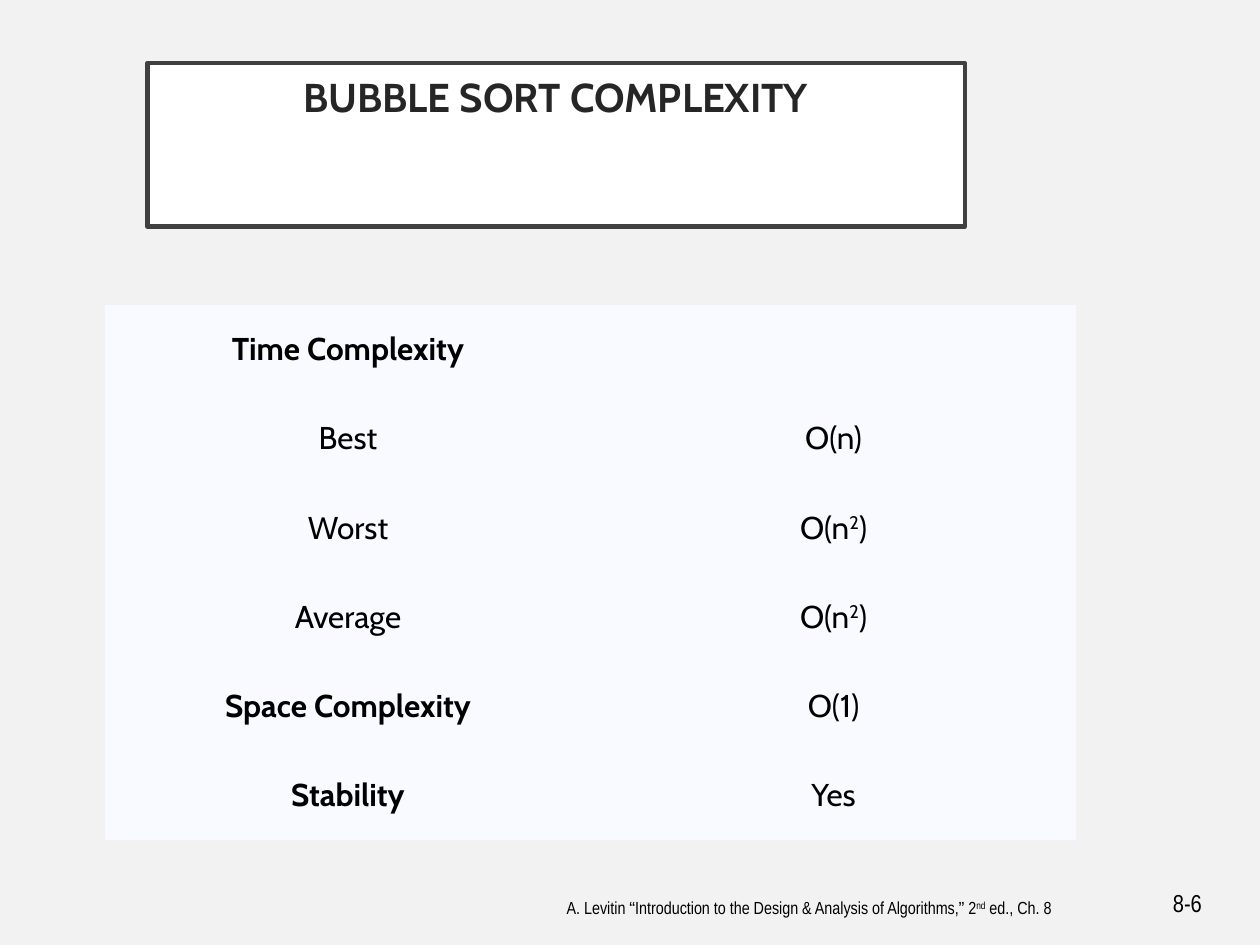
from dataclasses import dataclass

from pptx import Presentation
from pptx.dml.color import RGBColor
from pptx.enum.text import MSO_ANCHOR, MSO_AUTO_SIZE, PP_ALIGN
from pptx.util import Cm, Pt

CENTER, RIGHT = PP_ALIGN.CENTER, PP_ALIGN.RIGHT
TOP, MIDDLE = MSO_ANCHOR.TOP, MSO_ANCHOR.MIDDLE
NO_GRID_STYLE = "{2D5ABB26-0587-4C30-8999-92F81FD0307C}"


@dataclass(frozen=True)
class Theme:
    background: RGBColor = RGBColor(0xF2, 0xF2, 0xF2)
    panel: RGBColor = RGBColor(0xFF, 0xFF, 0xFF)
    frame: RGBColor = RGBColor(0x40, 0x40, 0x40)
    heading: RGBColor = RGBColor(0x26, 0x26, 0x26)
    text: RGBColor = RGBColor(0, 0, 0)
    cell: RGBColor = RGBColor(0xF8, 0xFA, 0xFF)
    body_font: str = "Cabin"
    footer_font: str = "Arial Narrow"
    quote_font: str = "Arial"
    title_size: int = 23
    table_size: int = 18
    number_size: int = 14
    footer_size: int = 10


theme = Theme()


def add_run(p, text, font, size, color=theme.text, bold=False, raised=False):
    r = p.add_run()
    r.text = text
    r.font.name = font
    r.font.size = Pt(size)
    r.font.bold = bold
    r.font.color.rgb = color
    if raised:
        r.font._element.set("baseline", "30000")


def add_line(s, left, top, width, align):
    tf = s.shapes.add_textbox(Cm(left), Cm(top), Cm(width), Cm(0.84)).text_frame
    tf.word_wrap = True
    p = tf.paragraphs[0]
    p.alignment = align
    return p


prs = Presentation()
prs.slide_width, prs.slide_height = Cm(25.4), Cm(19.05)
s = prs.slides.add_slide(prs.slide_layouts[5])
s.background.fill.solid()
s.background.fill.fore_color.rgb = theme.background

# Slide number
p = add_line(s, 19.2, 17.78, 5.28, RIGHT)
add_run(p, "8-6", theme.footer_font, theme.number_size)

# Source footer
p = add_line(s, 7.42, 17.96, 17.78, CENTER)
for text, font, raised in [
    ("A. Levitin ", theme.footer_font, False),
    ("“", theme.quote_font, False),
    ("Introduction to the Design & Analysis of Algorithms,", theme.footer_font, False),
    ("”", theme.quote_font, False),
    (" 2", theme.footer_font, False),
    ("nd", theme.footer_font, True),
    (" ed., Ch. 8", theme.footer_font, False),
]:
    add_run(p, text, font, theme.footer_size, raised=raised)

# Framed title
title = s.shapes.title
title.left, title.top, title.width, title.height = Cm(2.97), Cm(1.27), Cm(16.48), Cm(3.3)
title.fill.solid()
title.fill.fore_color.rgb = theme.panel
title.line.color.rgb = theme.frame
title.line.width = Pt(2.5)
tf = title.text_frame
tf.auto_size = MSO_AUTO_SIZE.NONE
tf.word_wrap = True
tf.vertical_anchor = TOP
tf.margin_left = tf.margin_right = Cm(0.5)
tf.margin_top = Cm(0.3)
p = tf.paragraphs[0]
p.alignment = CENTER
p.line_spacing = 0.9
add_run(p, "BUBBLE SORT COMPLEXITY", theme.body_font, theme.title_size, theme.heading, bold=True)

# Complexity table: label, bold label, value as (text, raised) runs
QUADRATIC = [("O(n", False), ("2", True), (")", False)]
rows = [
    ("Time Complexity", True, []),
    ("Best", False, [("O(n)", False)]),
    ("Worst", False, QUADRATIC),
    ("Average", False, QUADRATIC),
    ("Space Complexity", True, [("O(1)", False)]),
    ("Stability", True, [("Yes", False)]),
]
col_width, row_height = Cm(9.79), Cm(1.8)
frame = s.shapes.add_table(len(rows), 2, Cm(2.12), Cm(6.14), 2 * col_width, len(rows) * row_height)
table = frame.table
table.first_row = table.horz_banding = False
table._tbl.tblPr.find("{*}tableStyleId").text = NO_GRID_STYLE
for column in table.columns:
    column.width = col_width
for row, (label, bold, value) in zip(table.rows, rows):
    row.height = row_height
    for cell, runs, heavy in zip(row.cells, ([(label, False)], value), (bold, False)):
        cell.fill.solid()
        cell.fill.fore_color.rgb = theme.cell
        cell.vertical_anchor = MIDDLE
        cell.margin_left = cell.margin_right = Cm(0.5)
        p = cell.text_frame.paragraphs[0]
        p.alignment = CENTER
        for text, raised in runs:
            add_run(p, text, theme.body_font, theme.table_size, bold=heavy, raised=raised)

prs.save("out.pptx")
